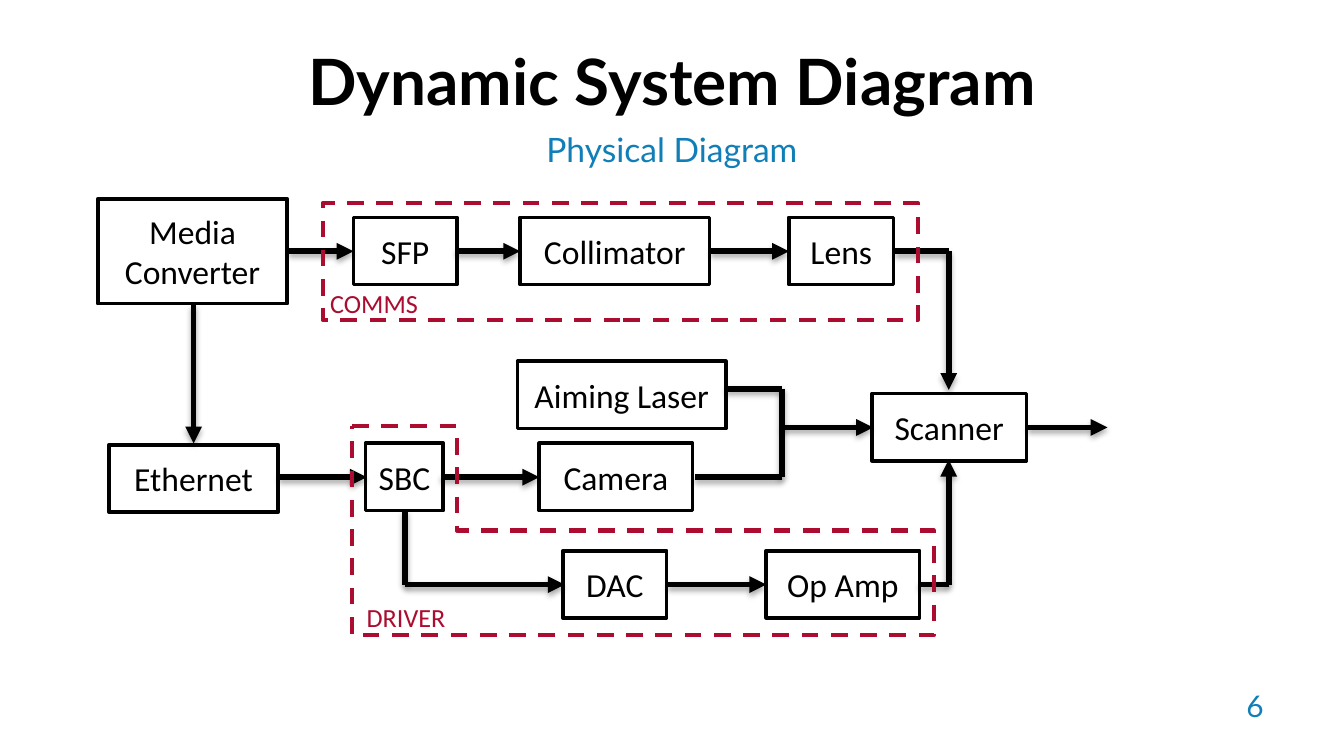
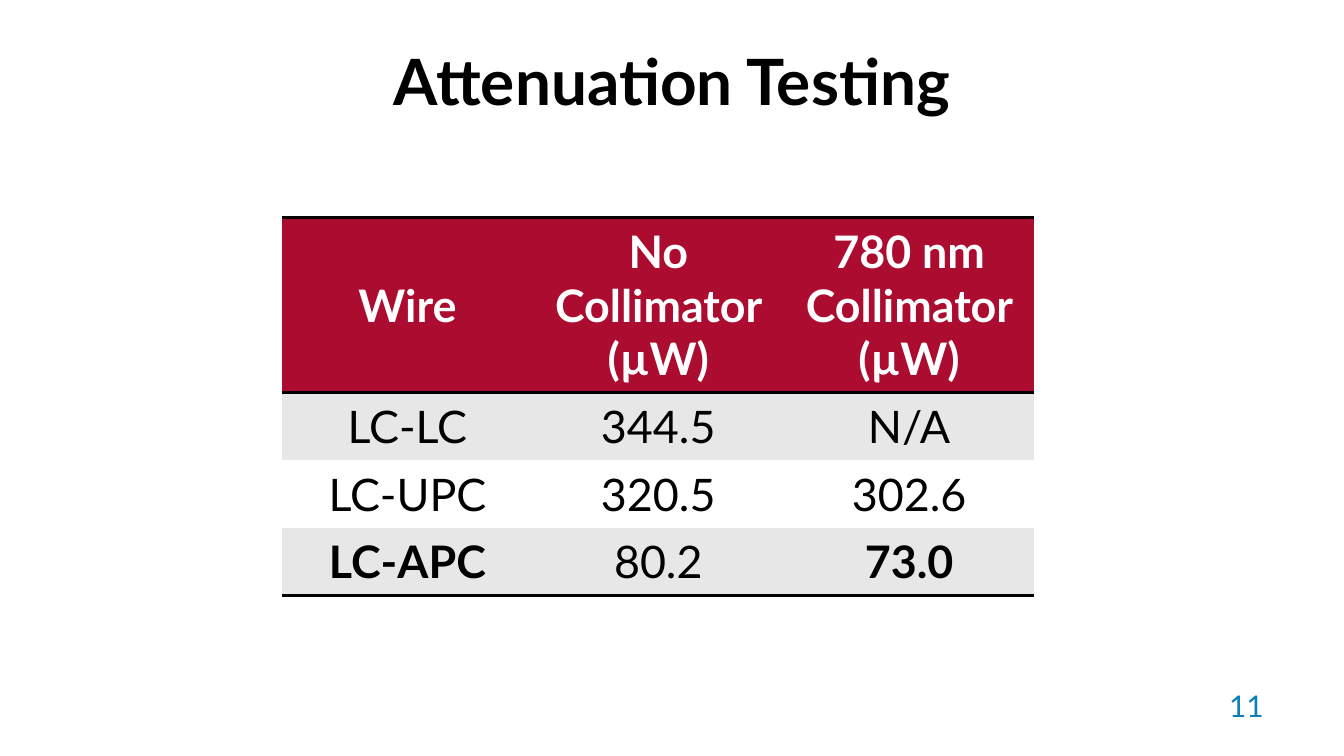
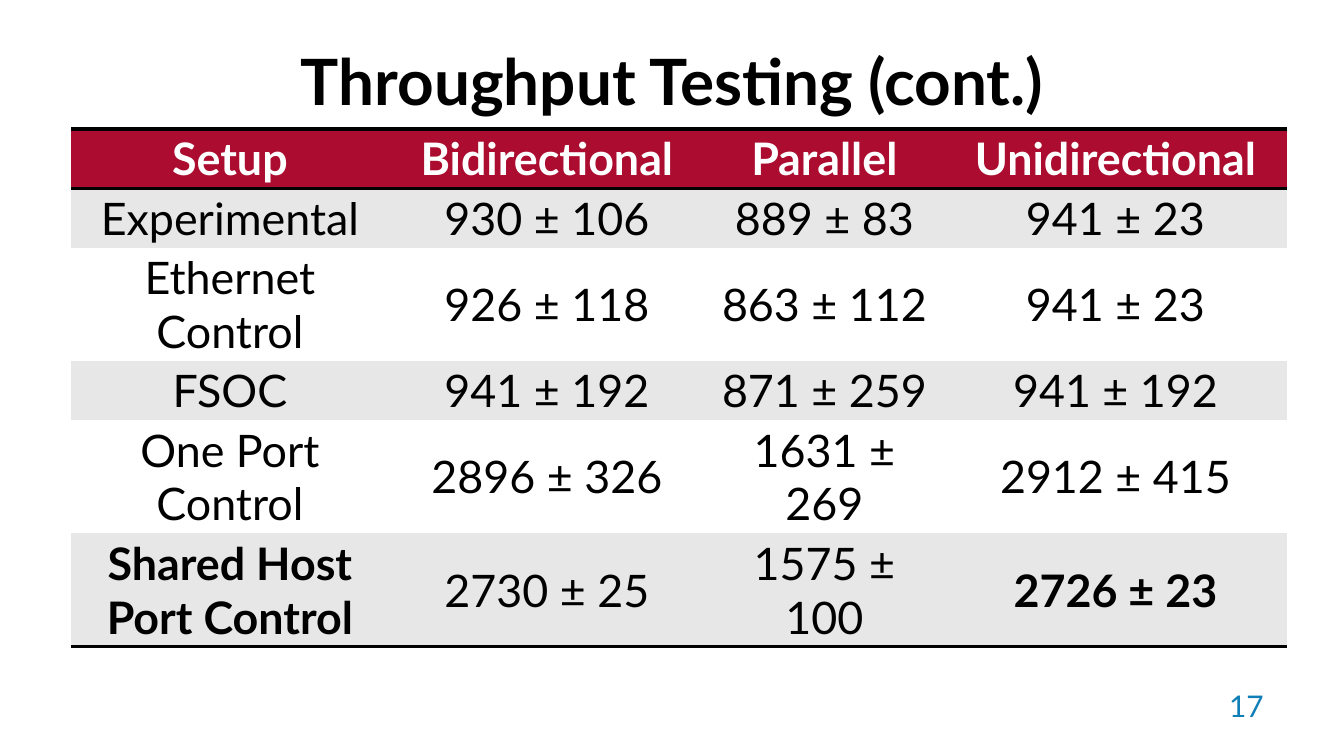
from dataclasses import dataclass
from itertools import pairwise
from typing import NamedTuple

from lxml.etree import SubElement
from pptx import Presentation
from pptx.dml.color import RGBColor
from pptx.enum.dml import MSO_LINE
from pptx.enum.shapes import MSO_CONNECTOR, MSO_SHAPE
from pptx.enum.text import MSO_ANCHOR, PP_ALIGN
from pptx.oxml import parse_xml
from pptx.oxml.ns import nsdecls, qn
from pptx.slide import Slide
from pptx.text.text import TextFrame
from pptx.util import Cm, Pt

BLACK = RGBColor(0x00, 0x00, 0x00)
WHITE = RGBColor(0xFF, 0xFF, 0xFF)
BLUE = RGBColor(0x10, 0x7F, 0xB8)
RED = RGBColor(0xAB, 0x0C, 0x2F)
GREY = RGBColor(0xE7, 0xE7, 0xE7)
HEAD = "Lato"
BODY = "Calibri"
PLAIN = "{2D5ABB26-0587-4C30-8999-92F81FD0307C}"
SHADOW = (
    f'<a:effectLst {nsdecls("a")}><a:outerShdw blurRad="39400" dist="22900" dir="5400000" '
    'rotWithShape="0"><a:srgbClr val="000000"><a:alpha val="35000"/></a:srgbClr>'
    "</a:outerShdw></a:effectLst>"
)


class Style(NamedTuple):
    font: str
    size: float
    color: RGBColor
    align: PP_ALIGN = PP_ALIGN.CENTER
    anchor: MSO_ANCHOR = MSO_ANCHOR.MIDDLE
    bold: bool = False


TITLE = Style(HEAD, 34.2, BLACK, bold=True)
SUB = Style(HEAD, 18, BLUE)
NUMBER = Style(HEAD, 16, BLUE, PP_ALIGN.RIGHT, MSO_ANCHOR.TOP)
BLOCK = Style(BODY, 18, BLACK)
ZONE = Style(BODY, 14, RED, PP_ALIGN.LEFT, MSO_ANCHOR.TOP)


class Rect(NamedTuple):
    left: float
    top: float
    width: float
    height: float


class Block(NamedTuple):
    text: str
    left: float
    top: float
    width: float
    height: float = 1.27


class Wire(NamedTuple):
    points: list[tuple[float, float]]
    arrow: bool = True


class Zone(NamedTuple):
    text: str
    preset: str
    frame: Rect
    label: Rect


@dataclass
class Grid:
    left: float
    top: float
    cols: list[float]
    rows: list[float]
    cells: list[list[str]]
    bold: set[str]
    inset: tuple[float, float] = (0.25, 0.13)


COMMS, AIM, DRIVE, OUT = 4.75, 8.08, 9.02, 11.05
MEDIA, TURN, JOIN, DROP = 3.66, 17.93, 14.78, 7.65

BLOCKS = [
    Block("Media Converter", 1.85, 3.76, 3.58, 1.98),
    Block("SFP", 6.68, 4.11, 1.96),
    Block("Collimator", 9.83, 4.11, 3.58),
    Block("Lens", 14.91, 4.11, 1.98),
    Block("Ethernet", 2.06, 8.41, 3.2),
    Block("SBC", 6.91, 8.38, 1.47),
    Block("Aiming Laser", 9.78, 6.83, 3.94),
    Block("Camera", 10.19, 8.38, 2.9),
    Block("Scanner", 16.48, 7.44, 2.92),
    Block("DAC", 10.64, 10.41, 1.96),
    Block("Op Amp", 14.48, 10.41, 2.9),
]
WIRES = [
    Wire([(MEDIA, 5.77), (MEDIA, 8.38)]),
    Wire([(5.46, COMMS), (6.68, COMMS)]),
    Wire([(8.61, COMMS), (9.83, COMMS)]),
    Wire([(13.44, COMMS), (14.91, COMMS)]),
    Wire([(16.92, COMMS), (TURN, COMMS), (TURN, 7.37)]),
    Wire([(5.28, DRIVE), (6.93, DRIVE)]),
    Wire([(8.33, DRIVE), (10.19, DRIVE)]),
    Wire([(DROP, 9.65), (DROP, OUT), (10.67, OUT)]),
    Wire([(12.62, OUT), (14.48, OUT)]),
    Wire([(17.37, OUT), (TURN, OUT), (TURN, 8.69)]),
    Wire([(13.72, 7.35), (JOIN, 7.35), (JOIN, DRIVE), (13.13, DRIVE)], False),
    Wire([(JOIN, AIM), (16.5, AIM)]),
    Wire([(19.43, AIM), (20.93, AIM)]),
]
ZONES = [
    Zone("DRIVER", "corner", Rect(6.65, 8.05, 11, 3.96), Rect(6.68, 11.25, 7.21, 0.86)),
    Zone("COMMS", "rect", Rect(6.1, 3.84, 11.25, 2.21), Rect(5.99, 5.31, 7.62, 0.86)),
]
LOSS = Grid(
    5.33, 4.11, [4.74] * 3, [3.3] + [1.27] * 3,
    [
        ["Wire", "No Collimator (µW)", "780 nm Collimator (µW)"],
        ["LC-LC", "344.5", "N/A"],
        ["LC-UPC", "320.5", "302.6"],
        ["LC-APC", "80.2", "73.0"],
    ],
    {"LC-APC", "73.0"},
)
SPEED = Grid(
    1.35, 2.44, [5.99, 5.99, 4.5, 6.5], [1.12, 1.12, 2.14, 1.12, 2.14, 2.14],
    [
        ["Setup", "Bidirectional", "Parallel", "Unidirectional"],
        ["Experimental", "930 ± 106", "889 ± 83", "941 ± 23"],
        ["Ethernet Control", "926 ± 118", "863 ± 112", "941 ± 23"],
        ["FSOC", "941 ± 192", "871 ± 259", "941 ± 192"],
        ["One Port Control", "2896 ± 326", "1631 ± 269", "2912 ± 415"],
        ["Shared Host Port Control", "2730 ± 25", "1575 ± 100", "2726 ± 23"],
    ],
    {"Shared Host Port Control", "2726 ± 23"},
    (0.08, 0.05),
)


def write(frame: TextFrame, text: str, style: Style) -> None:
    frame.text = text
    frame.word_wrap = True
    frame.vertical_anchor = style.anchor
    para = frame.paragraphs[0]
    para.alignment = style.align
    font = para.font
    font.name, font.size, font.bold = style.font, Pt(style.size), style.bold
    font.color.rgb = style.color


def label(slide: Slide, text: str, rect: Rect, style: Style) -> None:
    box = slide.shapes.add_textbox(*map(Cm, rect))
    write(box.text_frame, text, style)


def block(slide: Slide, item: Block) -> None:
    shape = slide.shapes.add_shape(MSO_SHAPE.RECTANGLE, *map(Cm, item[1:]))
    shape.shadow.inherit = False
    shape.fill.solid()
    shape.fill.fore_color.rgb = WHITE
    shape.line.color.rgb = BLACK
    shape.line.width = Pt(2)
    frame = shape.text_frame
    frame.margin_left = frame.margin_right = 0
    write(frame, item.text, BLOCK)


def wire(slide: Slide, item: Wire) -> None:
    for start, end in pairwise(item.points):
        part = slide.shapes.add_connector(MSO_CONNECTOR.STRAIGHT, *map(Cm, start + end))
        part.line.color.rgb = BLACK
        part.line.width = Pt(3)
        if item.arrow and end == item.points[-1]:
            SubElement(part.line._get_or_add_ln(), qn("a:tailEnd"), type="triangle")
        part._element.spPr.append(parse_xml(SHADOW))


def zone(slide: Slide, item: Zone) -> None:
    shape = slide.shapes.add_shape(MSO_SHAPE.RECTANGLE, *map(Cm, item.frame))
    shape._element.spPr.find(qn("a:prstGeom")).set("prst", item.preset)
    shape.shadow.inherit = False
    shape.fill.background()
    shape.line.color.rgb = RED
    shape.line.width = Pt(2.25)
    shape.line.dash_style = MSO_LINE.DASH
    label(slide, item.text, item.label, ZONE)


def rule(cell, side: str) -> None:
    line = SubElement(cell._tc.get_or_add_tcPr(), qn(f"a:{side}"), w=str(int(Pt(2))))
    fill = SubElement(line, qn("a:solidFill"))
    SubElement(fill, qn("a:srgbClr"), val=str(BLACK))


def grid(slide: Slide, item: Grid) -> None:
    size = Rect(item.left, item.top, sum(item.cols), sum(item.rows))
    table = slide.shapes.add_table(len(item.rows), len(item.cols), *map(Cm, size)).table
    table._tbl.tblPr.find(qn("a:tableStyleId")).text = PLAIN
    for col, width in zip(table.columns, item.cols):
        col.width = Cm(width)
    for row, height in zip(table.rows, item.rows):
        row.height = Cm(height)
    last = len(item.rows) - 1
    for r, texts in enumerate(item.cells):
        for c, text in enumerate(texts):
            cell = table.cell(r, c)
            top = r == 0
            color = WHITE if top else BLACK
            write(cell.text_frame, text, Style(HEAD, 24, color, bold=top or text in item.bold))
            cell.vertical_anchor = MSO_ANCHOR.MIDDLE
            cell.margin_left = cell.margin_right = Cm(item.inset[0])
            cell.margin_top = cell.margin_bottom = Cm(item.inset[1])
            if top:
                rule(cell, "lnT")
            if r in (0, last):
                rule(cell, "lnB")
            cell.fill.solid()
            cell.fill.fore_color.rgb = RED if top else GREY if r % 2 else WHITE


def page(deck, title: str, number: int) -> Slide:
    slide = deck.slides.add_slide(deck.slide_layouts[6])
    label(slide, title, Rect(1.27, 0.58, 22.86, 1.85), TITLE)
    label(slide, str(number), Rect(22.73, 12.88, 1.4, 1.14), NUMBER)
    return slide


def main() -> None:
    deck = Presentation()
    deck.slide_width, deck.slide_height = Cm(25.4), Cm(14.29)

    slide = page(deck, "Dynamic System Diagram", 6)
    label(slide, "Physical Diagram", Rect(1.27, 2.26, 22.86, 1.12), SUB)
    for item in BLOCKS:
        block(slide, item)
    for item in WIRES:
        wire(slide, item)
    for item in ZONES:
        zone(slide, item)

    grid(page(deck, "Attenuation Testing", 11), LOSS)
    grid(page(deck, "Throughput Testing (cont.)", 17), SPEED)
    deck.save("out.pptx")


if __name__ == "__main__":
    main()
